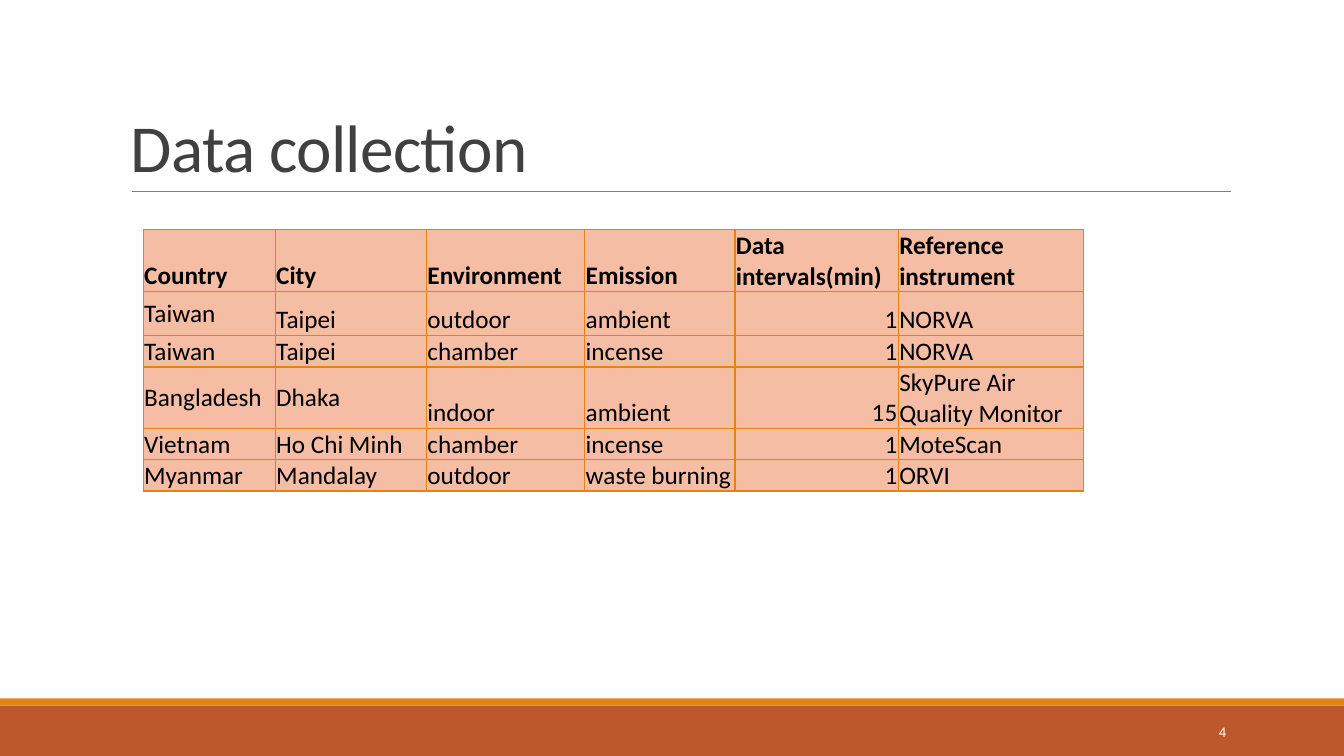
from lxml.etree import SubElement
from pptx import Presentation
from pptx.dml.color import RGBColor
from pptx.enum.shapes import MSO_CONNECTOR, MSO_SHAPE
from pptx.enum.text import MSO_ANCHOR, PP_ALIGN
from pptx.oxml.ns import qn
from pptx.util import Inches, Pt

WHITE = RGBColor(0xFF, 0xFF, 0xFF)
BLACK = RGBColor(0, 0, 0)
TITLE_GREY = RGBColor(0x40, 0x40, 0x40)
RULE_GREY = RGBColor(0x80, 0x80, 0x80)
RUST = RGBColor(0xBD, 0x58, 0x2C)
ORANGE = RGBColor(0xE4, 0x83, 0x12)
PEACH = RGBColor(0xF5, 0xBD, 0xA3)


def style_paragraph(paragraph, size, color, bold=False, align=PP_ALIGN.LEFT):
    paragraph.alignment = align
    paragraph.font.name = "Calibri"
    paragraph.font.size = Pt(size)
    paragraph.font.bold = bold
    paragraph.font.color.rgb = color


def add_borders(cell, color, width):
    """Draw all four borders; they must precede the fill in the cell properties."""
    properties = cell._tc.get_or_add_tcPr()
    for index, side in enumerate(("a:lnL", "a:lnR", "a:lnT", "a:lnB")):
        line = SubElement(properties, qn(side), w=str(Pt(width)))
        properties.insert(index, line)
        fill = SubElement(line, qn("a:solidFill"))
        SubElement(fill, qn("a:srgbClr"), val=str(color))


prs = Presentation()
prs.slide_width = Inches(13.33)
prs.slide_height = Inches(7.5)
slide = prs.slides.add_slide(prs.slide_layouts[6])
shapes = slide.shapes

# Footer bands
for top, height, color in ((7, 0.5, RUST), (6.93, 0.07, ORANGE)):
    band = shapes.add_shape(
        MSO_SHAPE.RECTANGLE, 0, Inches(top), prs.slide_width, Inches(height))
    band.shadow.inherit = False
    band.fill.solid()
    band.fill.fore_color.rgb = color
    band.line.fill.background()

# Title and the rule below it
rule = shapes.add_connector(
    MSO_CONNECTOR.STRAIGHT, Inches(1.31), Inches(1.9), Inches(12.21), Inches(1.9))
rule.line.color.rgb = RULE_GREY
rule.line.width = Pt(0.5)
SubElement(rule._element.spPr, qn("a:effectLst"))

title = shapes.add_textbox(Inches(1.2), Inches(0.31), Inches(11), Inches(1.59)).text_frame
title.word_wrap = True
title.vertical_anchor = MSO_ANCHOR.BOTTOM
title.text = "Data collection"
heading = title.paragraphs[0]
style_paragraph(heading, 48, TITLE_GREY)
heading.line_spacing = 0.85
heading.runs[0]._r.get_or_add_rPr().set("spc", "-50")

# Measurement sites
site_rows = [
    ("Country", "City", "Environment", "Emission", "Data intervals(min)",
     "Reference\ninstrument"),
    ("Taiwan", "Taipei", "outdoor", "ambient", "1", "NORVA"),
    ("Taiwan", "Taipei", "chamber", "incense", "1", "NORVA"),
    ("Bangladesh", "Dhaka", "indoor", "ambient", "15", "SkyPure Air Quality Monitor"),
    ("Vietnam", "Ho Chi Minh", "chamber", "incense", "1", "MoteScan"),
    ("Myanmar", "Mandalay", "outdoor", "waste burning", "1", "ORVI"),
]
column_widths = (1.31, 1.5, 1.57, 1.49, 1.62, 1.84)
row_heights = (0.22, 0.44, 0.22, 0.22, 0.22, 0.22)
INTERVAL_COLUMN = 4

sites = shapes.add_table(
    len(site_rows), len(column_widths),
    Inches(1.42), Inches(2.28), Inches(9.33), Inches(2.59)).table
for column, width in zip(sites.columns, column_widths):
    column.width = Inches(width)
for row, height in zip(sites.rows, row_heights):
    row.height = Inches(height)

for r, values in enumerate(site_rows):
    for c, value in enumerate(values):
        cell = sites.cell(r, c)
        cell.text = value
        cell.margin_left = cell.margin_right = cell.margin_top = Inches(0.01)
        cell.margin_bottom = 0
        centred = (r > 0 and c == 0) or value == "Dhaka"
        cell.vertical_anchor = MSO_ANCHOR.MIDDLE if centred else MSO_ANCHOR.BOTTOM
        cell.fill.solid()
        cell.fill.fore_color.rgb = PEACH
        add_borders(cell, ORANGE, 1)
        is_number = r > 0 and c == INTERVAL_COLUMN
        for paragraph in cell.text_frame.paragraphs:
            style_paragraph(paragraph, 18, BLACK, bold=r == 0,
                            align=PP_ALIGN.RIGHT if is_number else PP_ALIGN.LEFT)

# Slide number
page = shapes.add_textbox(Inches(10.83), Inches(7.06), Inches(1.43), Inches(0.4)).text_frame
page.word_wrap = True
page.vertical_anchor = MSO_ANCHOR.MIDDLE
page.text = "4"
style_paragraph(page.paragraphs[0], 10.5, WHITE, align=PP_ALIGN.RIGHT)

prs.save("out.pptx")
